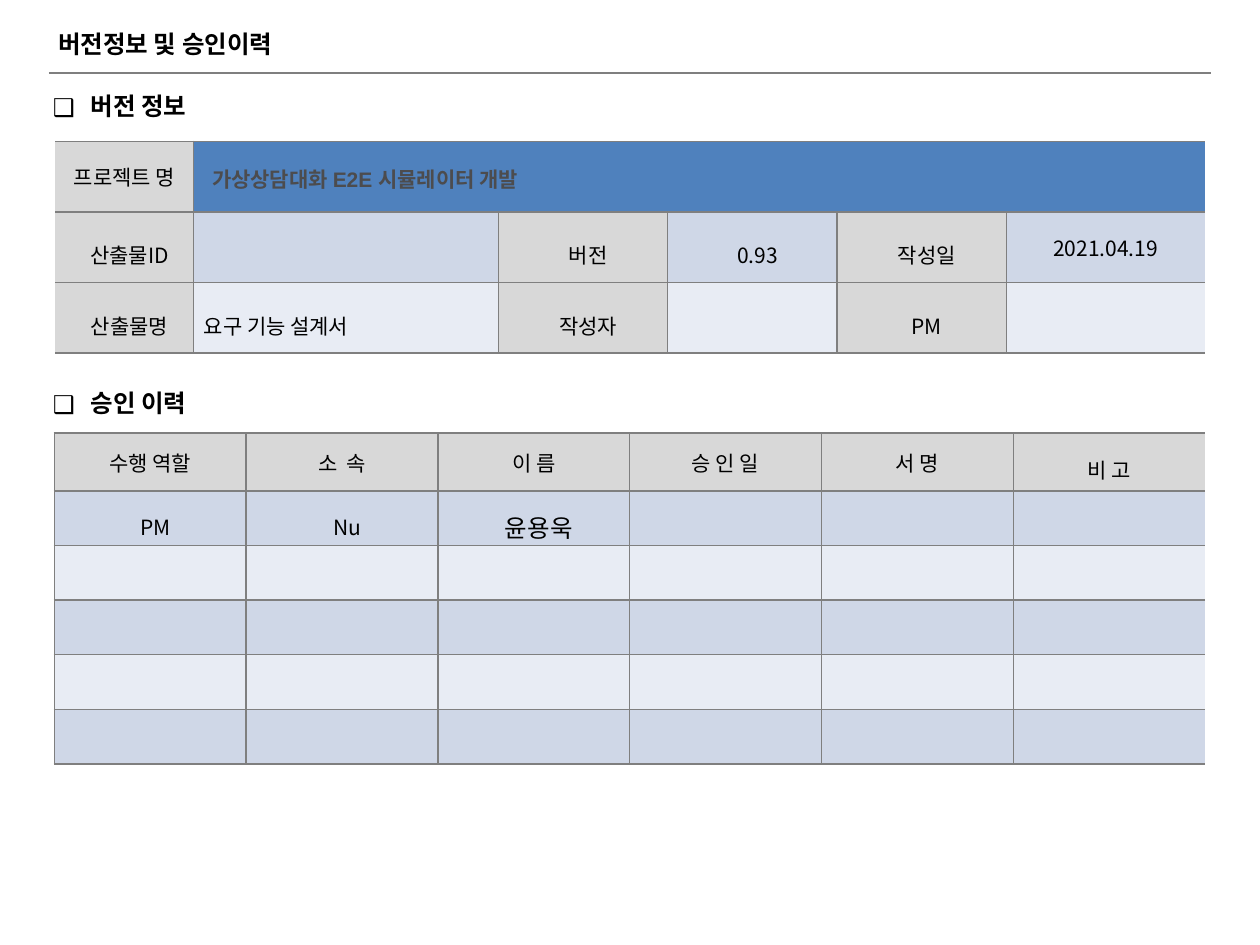
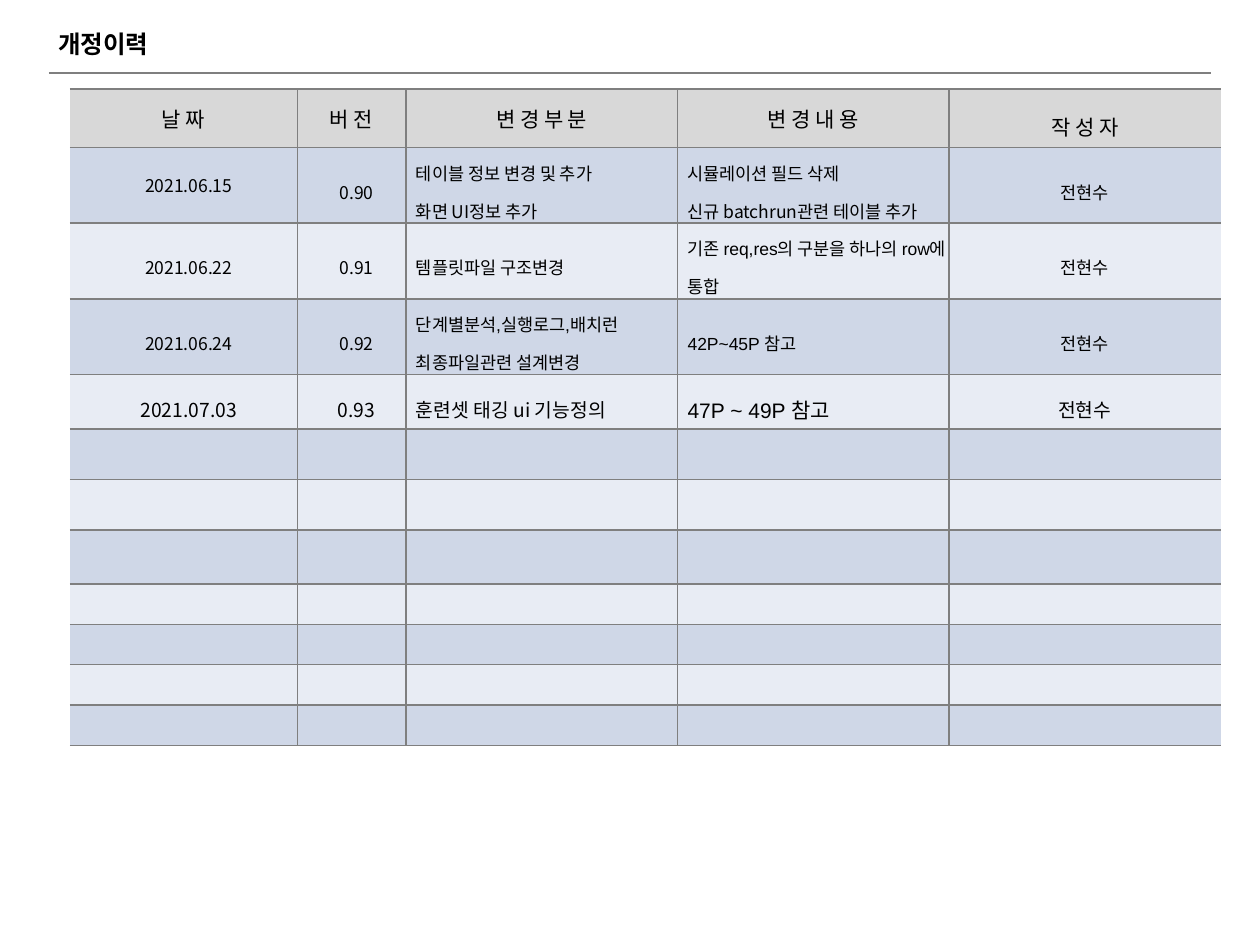
import pptx
import pptx.dml.color
import pptx.enum.shapes
import pptx.enum.text
import pptx.oxml.ns
import pptx.util
from lxml import etree

Pt = pptx.util.Pt
ALIGN = pptx.enum.text.PP_ALIGN
ANCHOR = pptx.enum.text.MSO_ANCHOR
qn = pptx.oxml.ns.qn

HEX = {"ink": "000000", "rule": "7F7F7F", "head": "D8D8D8", "blue": "4F81BD",
       "dark": "CFD7E7", "light": "E8ECF4", "name": "4C4C4E"}
NOTO, ARIAL = "Noto Sans CJK KR", "Arial"
SIDES = ("margin_left", "margin_top", "margin_right", "margin_bottom")
PAD = (7.2, 3.6, 7.2, 3.6)
BODY = {"size": 12, "font": NOTO, "ink": "ink", "bold": False, "gap": 1.5,
        "align": ALIGN.CENTER, "pad": (5.76, 0, 0, 0)}
HEAD = {"fill": "head", "pad": PAD, "gap": 1}
LABEL = {"fill": "head"}
LEFT = {"align": ALIGN.LEFT}


def put(item, **vals):
    for key, val in vals.items():
        setattr(item, key, val)


def tint(key):
    return pptx.dml.color.RGBColor.from_string(HEX[key])


def cell(text, *looks, **more):
    """Pair a text with its merged format values."""
    form = {}
    for look in looks:
        form.update(look)
    return text, {**form, **more}


class Deck:
    def __init__(self):
        self.file = pptx.Presentation()
        put(self.file, slide_width=Pt(720), slide_height=Pt(540))

    def page(self, title):
        self.slide = self.file.slides.add_slide(self.file.slide_layouts[5])
        box = self.slide.shapes.title
        put(box, left=Pt(26), top=Pt(14.4), width=Pt(464), height=Pt(26))
        self.text(box.text_frame, title, size=14, bold=True, gap=1,
                  align=ALIGN.LEFT, pad=(7.2, 1.9, 7.2, 3.6))
        self.line(28, 41.8, 692)

    def line(self, left, top, right):
        kind = pptx.enum.shapes.MSO_CONNECTOR.STRAIGHT
        rule = self.slide.shapes.add_connector(kind, Pt(left), Pt(top), Pt(right), Pt(top))
        rule.line.color.rgb = tint("rule")
        rule.line.width = Pt(1)
        etree.SubElement(rule._element.spPr, qn("a:effectLst"))

    def text(self, frame, words, **form):
        form = {**BODY, **form}
        put(frame, word_wrap=True, vertical_anchor=ANCHOR.TOP,
            **{side: Pt(val) for side, val in zip(SIDES, form["pad"])})
        for i, part in enumerate(words.split("\n")):
            para = frame.add_paragraph() if i else frame.paragraphs[0]
            put(para, alignment=form["align"], line_spacing=form["gap"])
            run = para.add_run()
            run.text = part
            put(run.font, name=form["font"], size=Pt(form["size"]), bold=form["bold"])
            run.font.color.rgb = tint(form["ink"])
            east = etree.SubElement(run._r.get_or_add_rPr(), qn("a:ea"))
            east.set("typeface", NOTO)

    def section(self, words, top):
        """Add a heading with a square bullet."""
        box = self.slide.shapes.add_textbox(Pt(-8.6), Pt(top), Pt(129.6), Pt(29.5))
        props = box.text_frame.paragraphs[0]._p.get_or_add_pPr()
        props.set("marL", str(Pt(53.3)))
        props.set("indent", str(Pt(-21.6)))
        etree.SubElement(props, qn("a:buFont")).set("typeface", NOTO)
        etree.SubElement(props, qn("a:buChar")).set("char", "❑")
        self.text(box.text_frame, words, size=14, bold=True, align=ALIGN.LEFT,
                  pad=(7.2, 0.2, 7.2, 3.6))

    def edge(self, spot, side, shown):
        line = etree.SubElement(spot._tc.get_or_add_tcPr(), qn("a:ln" + side))
        line.set("w", str(Pt(1)))
        if shown:
            fill = etree.SubElement(line, qn("a:solidFill"))
            etree.SubElement(fill, qn("a:srgbClr")).set("val", HEX["rule"])
        else:
            etree.SubElement(line, qn("a:noFill"))

    def table(self, left, top, cols, rows, data, wide=(), closed=False):
        """Draw a banded grid; rows named in wide join all but their first cell."""
        grid = self.slide.shapes.add_table(len(rows), len(cols), Pt(left), Pt(top),
                                           Pt(sum(cols)), Pt(sum(rows))).table
        put(grid, first_row=False, horz_banding=False)
        for col, width in zip(grid.columns, cols):
            col.width = Pt(width)
        for row, height in zip(grid.rows, rows):
            row.height = Pt(height)
        end = len(cols) - 1
        for r in wide:
            grid.cell(r, 1).merge(grid.cell(r, end))
        for r in range(len(rows)):
            for c in range(len(cols)):
                spot = grid.cell(r, c)
                item = data[r][c] if r < len(data) and c < len(data[r]) else ""
                words, form = item if isinstance(item, tuple) else (item, {})
                self.edge(spot, "L", c > 0 or closed)
                self.edge(spot, "R", c < end and not (r in wide and c > 0))
                self.edge(spot, "T", True)
                self.edge(spot, "B", True)
                spot.fill.solid()
                band = "dark" if r % 2 else "light"
                spot.fill.fore_color.rgb = tint(form.get("fill", band))
                pad = form.get("pad", BODY["pad"]) if words else (0, 0, 0, 0)
                if words:
                    self.text(spot.text_frame, words, **form)
                put(spot, vertical_anchor=ANCHOR.MIDDLE,
                    **{side: Pt(val) for side, val in zip(SIDES, pad)})


def heads(names):
    """Make a header row whose last cell has wide line spacing."""
    return [cell(name, HEAD) for name in names[:-1]] + [cell(names[-1], HEAD, gap=1.5)]


def change(date, mark, part, note, size=10, gap=1.5, fonts=(NOTO, NOTO), large=None):
    """Make one row of the revision table; large is the size of its note."""
    base = {"size": size}
    return [cell(date, base, gap=gap), cell(mark, base),
            cell(part, base, LEFT, font=fonts[0]),
            cell(note, LEFT, size=large or size, font=fonts[1]),
            cell("전현수", base, pad=PAD)]


def versions(deck):
    deck.page("버전정보 및 승인이력")
    info = [
        [cell("프로젝트 명", HEAD),
         cell("가상상담대화 E2E 시뮬레이터 개발", LEFT, fill="blue", ink="name", font=ARIAL,
              bold=True, gap=1.1, pad=(10.5, 3.6, 7.2, 3.6))],
        [cell("산출물ID", LABEL), "", cell("버전", LABEL), "0.93", cell("작성일", LABEL),
         cell("2021.04.19", pad=PAD, gap=1)],
        [cell("산출물명", LABEL), cell("요구 기능 설계서", LEFT), cell("작성자", LABEL), "",
         cell("PM", LABEL)],
    ]
    deck.table(31.5, 80.8, [79.2, 174.1, 96.8, 96.8, 96.8, 113.5], [40.3] * 3, info, wide=[0])
    deck.section("버전 정보", 43.2)
    deck.section("승인 이력", 213.1)
    signs = [heads(["수행 역할", "소  속", "이 름", "승 인 일", "서 명", "비 고"]),
             ["PM", "Nu", cell("윤용욱", size=14, font=ARIAL)]]
    deck.table(31.1, 247.5, [109.6] * 6, [33.1] + [31.2] * 5, signs, closed=True)


def changes(deck):
    deck.page("개정이력")
    log = [
        heads(["날 짜", "버 전", "변 경 부 분", "변 경 내 용", "작 성 자"]),
        change("2021.06.15", "0.90", "테이블 정보 변경 및 추가\n화면 UI정보 추가",
               "시뮬레이션 필드 삭제\n신규 batchrun관련 테이블 추가", gap=1),
        change("2021.06.22", "0.91", "템플릿파일 구조변경",
               "기존 req,res의 구분을 하나의 row에 통합", fonts=(ARIAL, ARIAL)),
        change("2021.06.24", "0.92", "단계별분석,실행로그,배치런 최종파일관련 설계변경",
               "42P~45P 참고", fonts=(ARIAL, ARIAL)),
        change("2021.07.03", "0.93", "훈련셋 태깅 ui 기능정의", "47P ~ 49P 참고",
               size=11, fonts=(NOTO, ARIAL), large=12),
    ]
    heights = [33.4] + [43.1] * 3 + [31.2, 28.8, 28.8, 30.9] + [23.1] * 4
    deck.table(40, 50.9, [129.9, 62.1, 155.2, 155.2, 155.2], heights, log)


def main():
    deck = Deck()
    versions(deck)
    changes(deck)
    deck.file.save("out.pptx")


if __name__ == "__main__":
    main()
